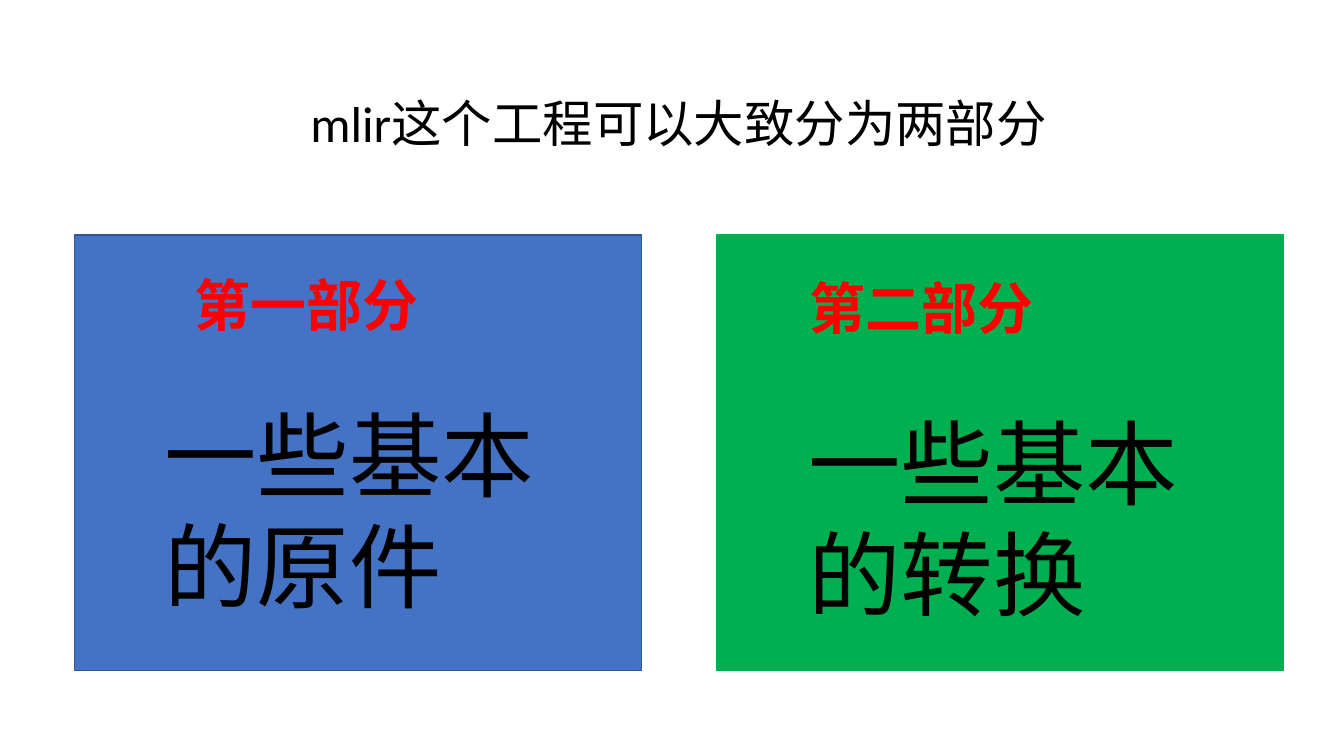
from dataclasses import dataclass

from pptx import Presentation
from pptx.dml.color import RGBColor
from pptx.enum.shapes import MSO_SHAPE
from pptx.enum.text import MSO_AUTO_SIZE
from pptx.slide import Slide
from pptx.util import Inches, Pt

RECTANGLE = MSO_SHAPE.RECTANGLE
GROW = MSO_AUTO_SIZE.SHAPE_TO_FIT_TEXT
COLORS = {
    "black": "000000",
    "red": "FF0000",
    "blue": "4472C4",
    "navy": "325491",
    "green": "00B050",
}
FONT_FORMATS = {
    "title": {"name": "Calibri", "size": Pt(36), "bold": False},
    "heading": {"name": "Calibri", "size": Pt(40), "bold": True},
    "body": {"name": "Calibri", "size": Pt(66), "bold": False},
}
PANEL_TOP, PANEL_WIDTH, PANEL_HEIGHT = 2.33, 5.62, 4.32


@dataclass
class Label:
    text: str
    left: float
    top: float
    width: float
    height: float
    style: str
    color: str = "black"


@dataclass
class Panel:
    left: float
    fill: str
    line: str
    heading: Label
    body: Label


TITLE = Label("mlir这个工程可以大致分为两部分", 2.98, 0.86, 8.28, 0.71, "title")
PANELS = [
    Panel(
        0.74, "blue", "navy",
        Label("第一部分", 1.83, 2.63, 3.38, 0.77, "heading", "red"),
        Label("一些基本的原件", 1.53, 3.9, 4.69, 2.32, "body"),
    ),
    Panel(
        7.11, "green", "green",
        Label("第二部分", 7.93, 2.66, 3.38, 0.77, "heading", "red"),
        Label("一些基本的转换", 7.92, 3.98, 4.69, 2.32, "body"),
    ),
]


def color(name: str) -> RGBColor:
    return RGBColor.from_string(COLORS[name])


def draw_label(slide: Slide, label: Label) -> None:
    box = slide.shapes.add_textbox(
        Inches(label.left), Inches(label.top), Inches(label.width), Inches(label.height)
    )
    frame = box.text_frame
    frame.word_wrap = True
    frame.auto_size = GROW
    run = frame.paragraphs[0].add_run()
    run.text = label.text
    for attribute, value in FONT_FORMATS[label.style].items():
        setattr(run.font, attribute, value)
    run.font.color.rgb = color(label.color)


def draw_panel(slide: Slide, panel: Panel) -> None:
    shape = slide.shapes.add_shape(
        RECTANGLE, Inches(panel.left), Inches(PANEL_TOP),
        Inches(PANEL_WIDTH), Inches(PANEL_HEIGHT),
    )
    shape.shadow.inherit = False
    shape.fill.solid()
    shape.fill.fore_color.rgb = color(panel.fill)
    shape.line.color.rgb = color(panel.line)
    shape.line.width = Pt(1)
    draw_label(slide, panel.heading)
    draw_label(slide, panel.body)


def main() -> None:
    presentation = Presentation()
    presentation.slide_width = Inches(13.33)
    presentation.slide_height = Inches(7.5)
    slide = presentation.slides.add_slide(presentation.slide_layouts[6])
    for panel in PANELS:
        draw_panel(slide, panel)
    draw_label(slide, TITLE)
    presentation.save("out.pptx")


if __name__ == "__main__":
    main()
